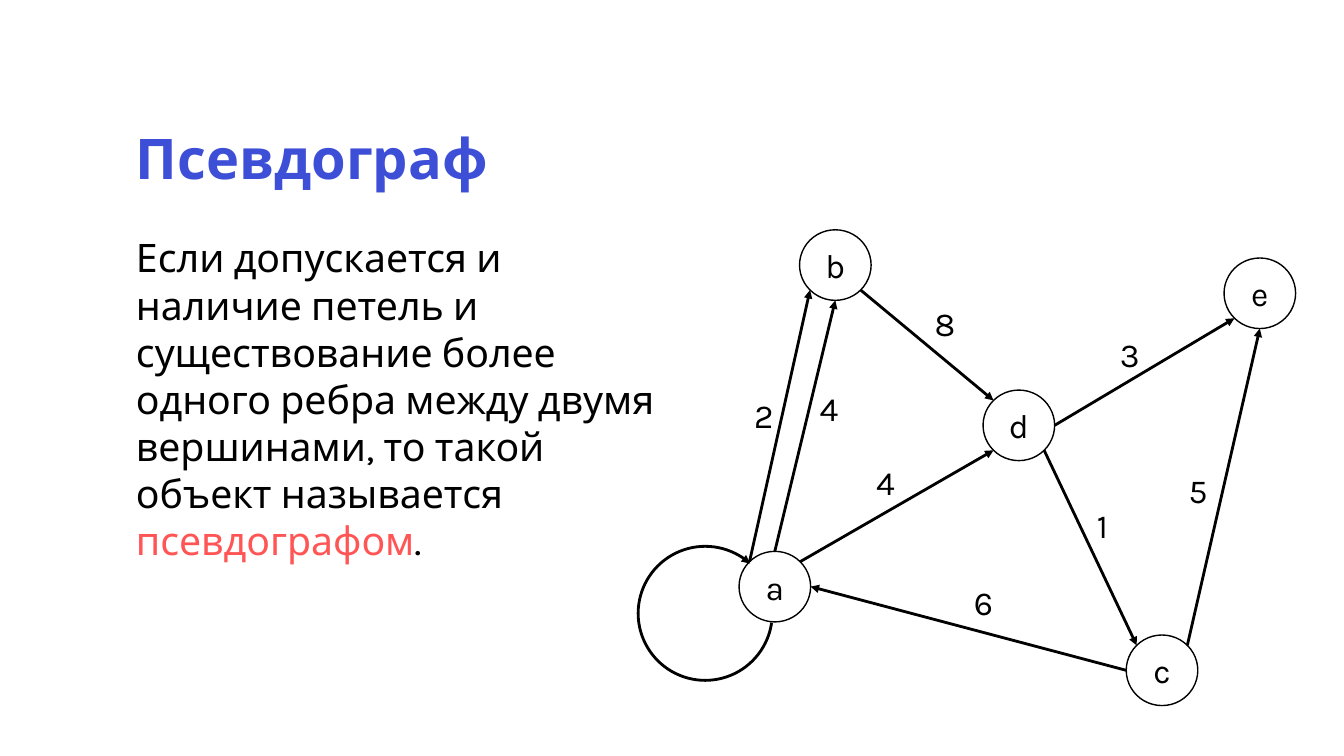
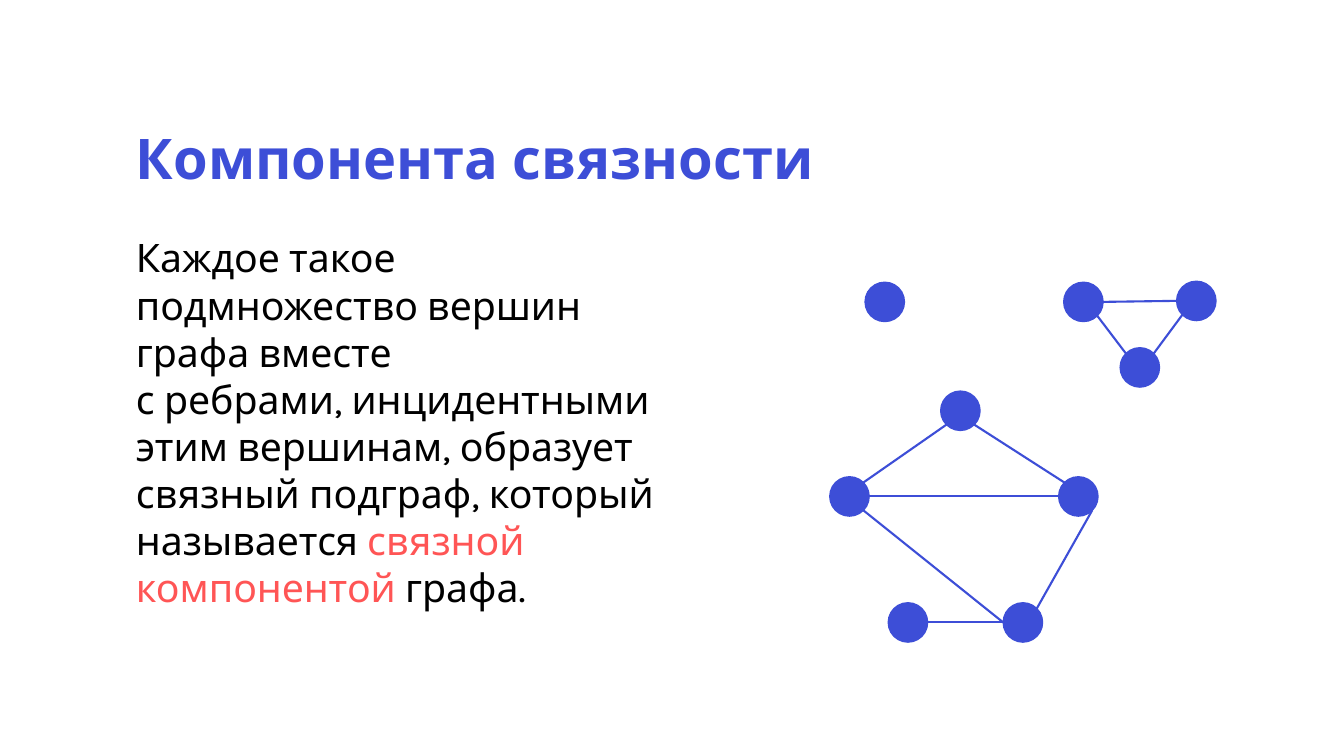
from math import cos, radians, sin

from lxml import etree
from pptx import Presentation
from pptx import util as u
from pptx.dml import color as dml
from pptx.enum import shapes, text
from pptx.oxml import ns

PX = 9144  # EMU, 100 px to the inch
COLOURS = {"blue": "3D4ED7", "red": "FF5555", "black": "000000", "white": "FFFFFF"}
TITLE_BOX = (125, 125, 1085, 80)
BODY_WIDTH = 541
TITLE = {"name": "Karla", "size": u.Pt(40), "bold": True}
BODY = {"name": "Karla", "size": u.Pt(28)}
LABEL = {"name": "Karla", "size": u.Pt(24)}
FITTED = {"word_wrap": True, "auto_size": text.MSO_AUTO_SIZE.SHAPE_TO_FIT_TEXT}
UNWRAPPED = {**FITTED, "word_wrap": False}
COMPASS = {side: 45 * step for step, side in
           enumerate(("E", "SE", "S", "SW", "W", "NW", "N", "NE"))}

WEIGHTED_GRAPH = {
    "box": (633, 228), "node_size": (71, 70),
    "fill": "white", "line": "black", "edge_width": 2, "arrows": True,
    "nodes": {"b": (160, 0), "a": (100, 319), "d": (342, 159),
              "e": (581, 28), "c": (484, 402)},
    "edges": ["a NE d SW", "b SE d NW", "c W a E", "d SE c NW",
              "c NE e S", "d E e SW", "a N b S", "a NW b SW"],
}
WEIGHTS = [("2", 105, 159), ("8", 284, 68), ("4", 226, 225), ("6", 323, 344),
           ("1", 445, 268), ("3", 468, 98), ("5", 536, 233), ("4", 170, 152)]
LOOP = {"place": (0, 314, 133, 133), "degrees": (8, 312)}

COMPONENTS = {
    "box": (823, 279), "node_size": (39, 39),
    "fill": "blue", "line": "blue", "edge_width": 1.5, "arrows": False,
    "nodes": {"alone": (35, 1), "foot": (58, 319), "left": (0, 194),
              "tri_left": (232, 1), "tri_right": (344, 0), "base": (172, 319),
              "tri_low": (288, 66), "top": (110, 109), "right": (227, 194)},
    "edges": ["tri_low NE tri_right SW", "tri_left E tri_right W",
              "foot E base W", "left SE base W", "tri_left SE tri_low NW",
              "left NE top SW", "top SE right NW", "left E right W",
              "base NE right SE"],
}


def px(*lengths):
    return [u.Emu(round(length * PX)) for length in lengths]


def rgb(name):
    return dml.RGBColor.from_string(COLOURS[name])


def apply_format(target, values):
    for name, value in values.items():
        setattr(target, name, value)


def add_span(para, words, style, colour="black"):
    """Add a run, turning each newline into a line break."""
    for number, line in enumerate(words.split("\n")):
        if number:
            para.add_line_break()
        span = para.add_run()
        span.text = line
        apply_format(span.font, style)
        span.font.color.rgb = rgb(colour)


def add_text(page, place, spans, style, frame_format):
    frame = page.shapes.add_textbox(*px(*place)).text_frame
    apply_format(frame, frame_format)
    para = frame.paragraphs[0]
    for words, colour in spans:
        add_span(para, words, style, colour)
    return para


def set_line(shape, colour, width, arrow=False):
    shape.line.color.rgb = rgb(colour)
    shape.line.width = u.Pt(width)
    if arrow:
        outline = shape.line._get_or_add_ln()
        etree.SubElement(outline, ns.qn("a:tailEnd"), type="triangle")


def add_text_column(page, title, spans, height):
    heading = add_text(page, TITLE_BOX, [(title, "blue")], TITLE, {"word_wrap": True})
    heading.line_spacing = 0.9
    left, top = TITLE_BOX[0], 227
    add_text(page, (left, top, BODY_WIDTH, height), spans, BODY, FITTED)


def add_node(page, place, graph):
    node = page.shapes.add_shape(shapes.MSO_SHAPE.OVAL, *px(*place))
    node.shadow.inherit = False
    node.fill.solid()
    node.fill.fore_color.rgb = rgb(graph["fill"])
    set_line(node, graph["line"], 1)
    return node


def label_node(node, name):
    node.text_frame.vertical_anchor = text.MSO_ANCHOR.MIDDLE
    para = node.text_frame.paragraphs[0]
    para.alignment = text.PP_ALIGN.CENTER
    add_span(para, name, LABEL)


def rim_point(node, side):
    """Point on a node's outline in a compass direction."""
    angle = radians(COMPASS[side])
    return (u.Emu(round(node.left + node.width * (1 + cos(angle)) / 2)),
            u.Emu(round(node.top + node.height * (1 + sin(angle)) / 2)))


def add_edge(page, start, end, graph):
    edge = page.shapes.add_connector(shapes.MSO_CONNECTOR.STRAIGHT, *start, *end)
    set_line(edge, graph["line"], graph["edge_width"], graph["arrows"])
    etree.SubElement(edge._element.spPr, ns.qn("a:effectLst"))


def add_graph(page, graph):
    left, top = graph["box"]
    nodes = {name: add_node(page, (left + x, top + y, *graph["node_size"]), graph)
             for name, (x, y) in graph["nodes"].items()}
    for edge in graph["edges"]:
        source, source_side, target, target_side = edge.split()
        add_edge(page, rim_point(nodes[source], source_side),
                 rim_point(nodes[target], target_side), graph)
    return nodes


def add_loop(page, graph):
    left, top = graph["box"]
    x, y, width, height = LOOP["place"]
    loop = page.shapes.add_shape(shapes.MSO_SHAPE.ARC,
                                 *px(left + x, top + y, width, height))
    loop.shadow.inherit = False
    loop.fill.background()
    for number, degrees in enumerate(LOOP["degrees"]):
        loop.adjustments[number] = degrees * 0.6
    set_line(loop, graph["line"], graph["edge_width"], graph["arrows"])


def add_weights(page, graph):
    left, top = graph["box"]
    for weight, x, y in WEIGHTS:
        add_text(page, (left + x, top + y, 38, 50), [(weight, "black")],
                 LABEL, UNWRAPPED)


def add_page(deck):
    return deck.slides.add_slide(deck.slide_layouts[6])


def build_pseudograph(deck):
    page = add_page(deck)
    add_text_column(page, "Псевдограф", [
        ("Если допускается и наличие петель и существование более одного ребра "
         "между двумя вершинами, то такой объект называется ", "black"),
        ("псевдографом", "red"), (".", "black")], 293)
    for name, node in add_graph(page, WEIGHTED_GRAPH).items():
        label_node(node, name)
    add_loop(page, WEIGHTED_GRAPH)
    add_weights(page, WEIGHTED_GRAPH)


def build_components(deck):
    page = add_page(deck)
    add_text_column(page, "Компонента связности", [
        ("Каждое такое подмножество вершин графа вместе\nс ребрами, инцидентными "
         "этим вершинам, образует связный подграф, который называется ", "black"),
        ("связной компонентой ", "red"), ("графа.", "black")], 342)
    add_graph(page, COMPONENTS)


def main():
    deck = Presentation()
    deck.slide_width, deck.slide_height = px(1333, 750)
    build_pseudograph(deck)
    build_components(deck)
    deck.save("out.pptx")


if __name__ == "__main__":
    main()
